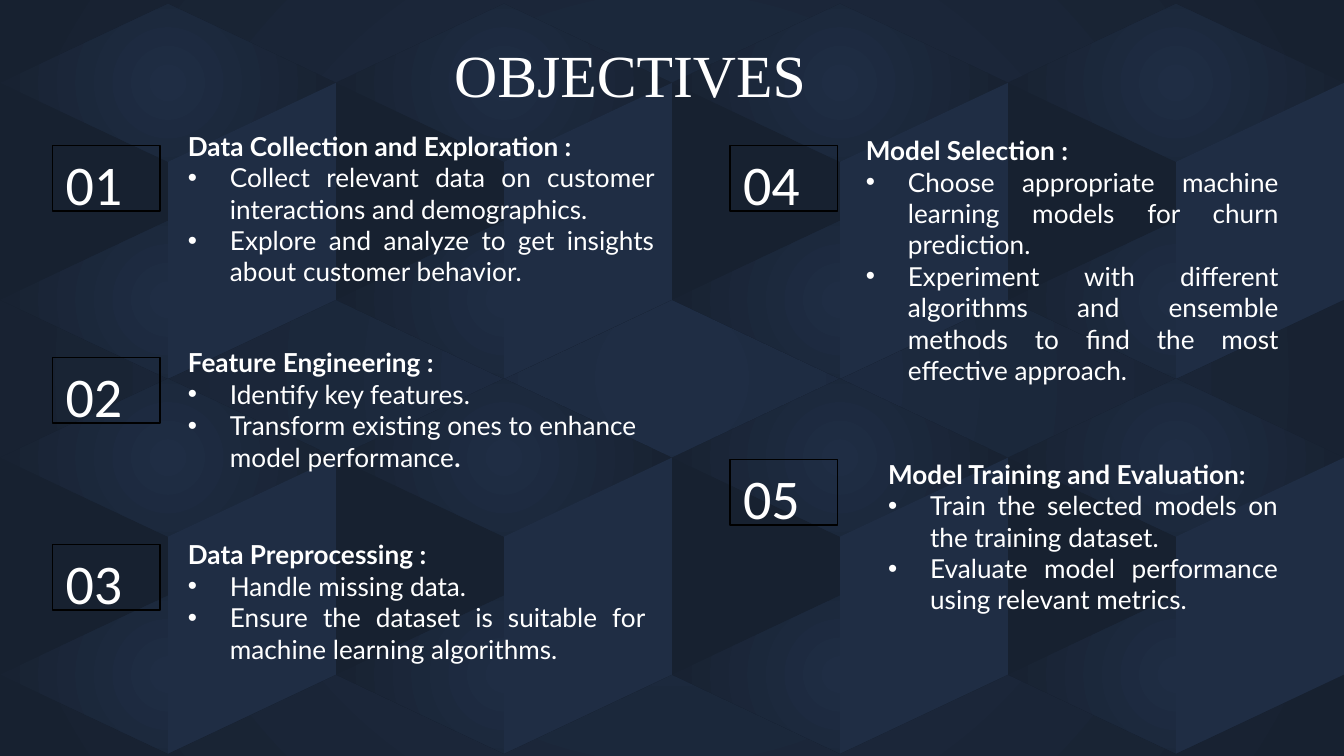
from dataclasses import dataclass
from itertools import product

from lxml.etree import SubElement
from pptx import Presentation
from pptx.dml.color import RGBColor
from pptx.enum.shapes import MSO_SHAPE
from pptx.enum.text import MSO_ANCHOR, PP_ALIGN
from pptx.oxml.ns import qn
from pptx.util import Pt


@dataclass(frozen=True)
class Theme:
    """Colours, fonts and type sizes of the slide."""
    light: RGBColor = RGBColor(0x1F, 0x2D, 0x44)
    dark: RGBColor = RGBColor(0x17, 0x21, 0x30)
    text: RGBColor = RGBColor(0xFF, 0xFF, 0xFF)
    outline: RGBColor = RGBColor(0, 0, 0)
    title_font: str = "Times New Roman"
    number_font: str = "Calibri"
    body_font: str = "Lato"
    title_size: float = 32
    number_size: float = 30
    body_size: float = 14
    inset: float = 7.2
    indent: float = 22.5
    heading_spacing: float = 1.15


THEME = Theme()
WIDTH, HEIGHT = 720, 405
TILE_W, TILE_H = 180, 200.8
NUMBER_W, NUMBER_H = 57.6, 35.2
JUSTIFY, LEFT = PP_ALIGN.JUSTIFY, PP_ALIGN.LEFT

OBJECTIVES = [
    ("01", (28.1, 77.8), (93.6, 62.6, 264.2, 84.2), JUSTIFY,
     "Data Collection and Exploration :",
     ["Collect relevant data on customer interactions and demographics.",
      "Explore and analyze to get insights about customer behavior."], ""),
    ("02", (28.1, 191.5), (93.6, 178.6, 264.2, 38.2), LEFT,
     "Feature Engineering :",
     ["Identify key features.",
      "Transform existing ones to enhance model performance"], "."),
    ("03", (28.1, 291.6), (93.6, 281.5, 259.2, 38.2), JUSTIFY,
     "Data Preprocessing :",
     ["Handle missing data.",
      "Ensure the dataset is suitable for machine learning algorithms."], ""),
    ("04", (391, 77.8), (456.8, 65, 235.4, 38.2), JUSTIFY,
     "Model Selection :",
     ["Choose appropriate machine learning models for churn prediction.",
      "Experiment with different algorithms and ensemble methods to find "
      "the most effective approach."], ""),
    ("05", (391, 246.2), (468.7, 238.3, 223.2, 38.2), JUSTIFY,
     "Model Training and Evaluation:",
     ["Train the selected models on the training dataset.",
      "Evaluate model performance using relevant metrics."], ""),
]


def set_attrs(obj, values):
    """Set each named attribute of an object."""
    for name, value in values.items():
        setattr(obj, name, value)


def radial_fill(fill, root):
    """Give a fill a light centre that darkens towards the edges."""
    fill.gradient()
    for stop, color in zip(fill.gradient_stops, (THEME.light, THEME.dark)):
        stop.color.rgb = color
    grad = next(root.iter(qn("a:gradFill")))
    grad.remove(grad.find(qn("a:lin")))
    path = SubElement(grad, qn("a:path"), {"path": "circle"})
    SubElement(path, qn("a:fillToRect"), dict.fromkeys("ltrb", "50000"))


def add_face(s, points, color=None):
    """Draw one face of a cube, radial when no colour is given."""
    pts = [(Pt(x), Pt(y)) for x, y in points]
    builder = s.shapes.build_freeform(*pts[0], scale=1.0)
    builder.add_line_segments(pts[1:], close=True)
    sp = builder.convert_to_shape()
    sp.shadow.inherit = False
    sp.line.fill.background()
    if color is None:
        radial_fill(sp.fill, sp._element)
    else:
        sp.fill.solid()
        sp.fill.fore_color.rgb = color


def add_cube(s, box):
    """Draw a hollow cube tile that fills the box."""
    x, y, w, h = box
    rise = 42.3
    mid, right, bottom = x + w / 2, x + w, y + h
    upper, lower = y + rise, bottom - rise

    def side(edge):
        return [(mid, bottom), (mid, y + 2 * rise), (edge, upper), (edge, lower)]

    def diamond(top):
        return [(mid, top), (right, top + rise),
                (mid, top + 2 * rise), (x, top + rise)]

    add_face(s, side(x), THEME.dark)
    add_face(s, diamond(bottom - 2 * rise))
    add_face(s, diamond(y))
    add_face(s, side(right), THEME.light)


def add_backdrop(s, box):
    """Cover the box with a grid of cube tiles on a radial ground."""
    x, y, w, h = box
    radial_fill(s.background.fill, s._element)
    for row, col in product(range(int(h // TILE_H)), range(int(w // TILE_W))):
        add_cube(s, (x + col * TILE_W, y + row * TILE_H, TILE_W, TILE_H))


def add_run(p, text, font, size, bold=False):
    """Append a run in the theme's text colour."""
    r = p.add_run()
    r.text = text
    set_attrs(r.font, {"name": font, "size": Pt(size), "bold": bold})
    r.font.color.rgb = THEME.text


def prepare_frame(sp, anchor=MSO_ANCHOR.TOP):
    """Set wrapping, insets and anchor, and return the text frame."""
    tf = sp.text_frame
    margins = ("margin_left", "margin_top", "margin_right", "margin_bottom")
    set_attrs(tf, dict.fromkeys(margins, Pt(THEME.inset)))
    set_attrs(tf, {"word_wrap": True, "vertical_anchor": anchor})
    return tf


def add_bullet(p):
    """Turn a paragraph into a hanging bullet."""
    pPr = p._p.get_or_add_pPr()
    pPr.set("marL", str(Pt(THEME.indent)))
    pPr.set("indent", str(-Pt(THEME.indent)))
    color = SubElement(pPr, qn("a:buClr"))
    SubElement(color, qn("a:srgbClr"), val=str(THEME.text))
    SubElement(pPr, qn("a:buFont"), typeface="Arial")
    SubElement(pPr, qn("a:buChar"), char="•")


def add_title(s, box, text):
    """Write the slide title in the box."""
    p = prepare_frame(s.shapes.add_textbox(*map(Pt, box))).paragraphs[0]
    set_attrs(p, {"alignment": LEFT, "line_spacing": THEME.heading_spacing})
    add_run(p, text, THEME.title_font, THEME.title_size)


def add_number(s, box, text):
    """Draw an outlined box with an objective's number."""
    sp = s.shapes.add_shape(MSO_SHAPE.RECTANGLE, *map(Pt, box))
    sp.shadow.inherit = False
    sp.fill.background()
    sp.line.color.rgb = THEME.outline
    sp.line.width = Pt(0.75)
    p = prepare_frame(sp, MSO_ANCHOR.MIDDLE).paragraphs[0]
    set_attrs(p, {"alignment": LEFT, "line_spacing": THEME.heading_spacing})
    add_run(p, text, THEME.number_font, THEME.number_size)


def add_objective(s, box, align, heading, bullets, bold_end):
    """Write a bold heading and its bullets in the box."""
    tf = prepare_frame(s.shapes.add_textbox(*map(Pt, box)))
    p = tf.paragraphs[0]
    p.alignment = align
    add_run(p, heading, THEME.body_font, THEME.body_size, True)
    for text in bullets:
        p = tf.add_paragraph()
        p.alignment = align
        add_bullet(p)
        add_run(p, text, THEME.body_font, THEME.body_size)
    if bold_end:
        add_run(p, bold_end, THEME.body_font, THEME.body_size, True)


def main():
    """Build and save the objectives slide."""
    prs = Presentation()
    set_attrs(prs, {"slide_width": Pt(WIDTH), "slide_height": Pt(HEIGHT)})
    s = prs.slides.add_slide(prs.slide_layouts[6])
    add_backdrop(s, (0, 2.1, WIDTH, HEIGHT - 2.1))
    add_title(s, (236.2, 7.2, 212.4, 45.4), "OBJECTIVES")
    for number, corner, box, *content in OBJECTIVES:
        add_objective(s, box, *content)
        add_number(s, (*corner, NUMBER_W, NUMBER_H), number)
    prs.save("out.pptx")


if __name__ == "__main__":
    main()
